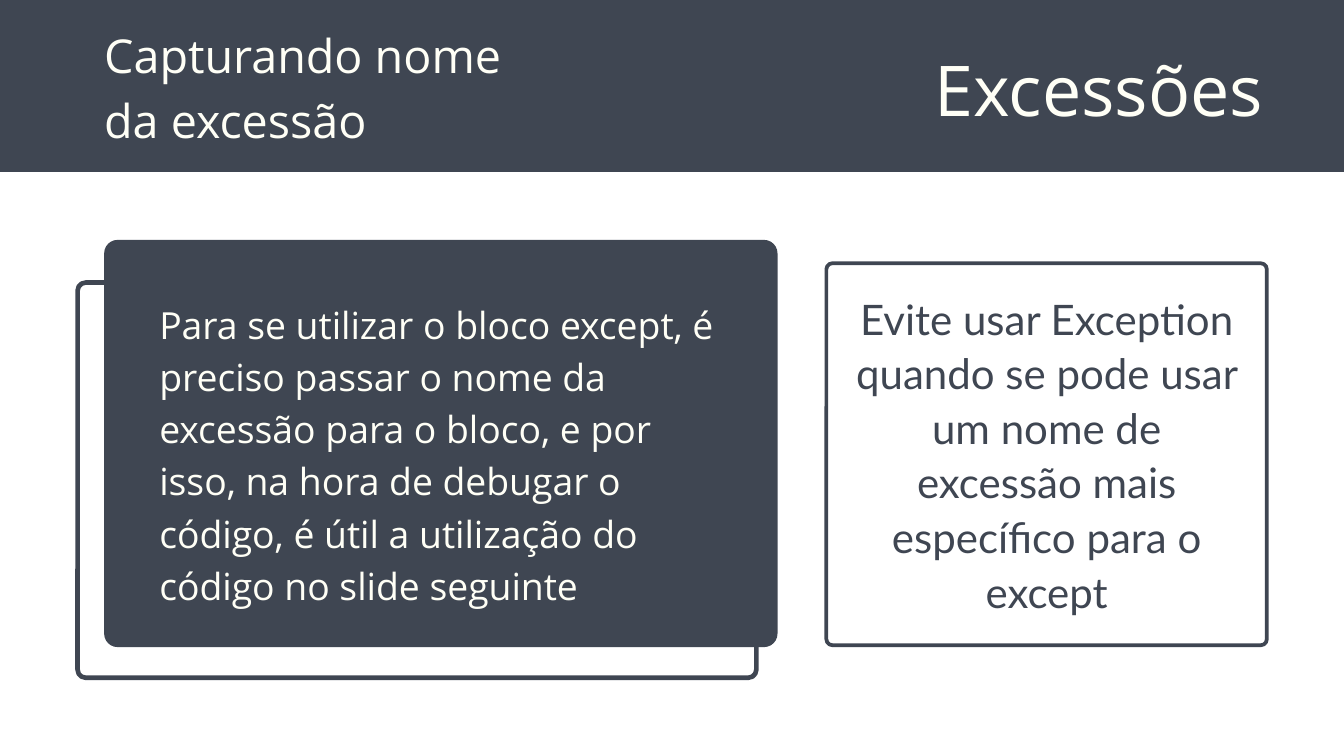
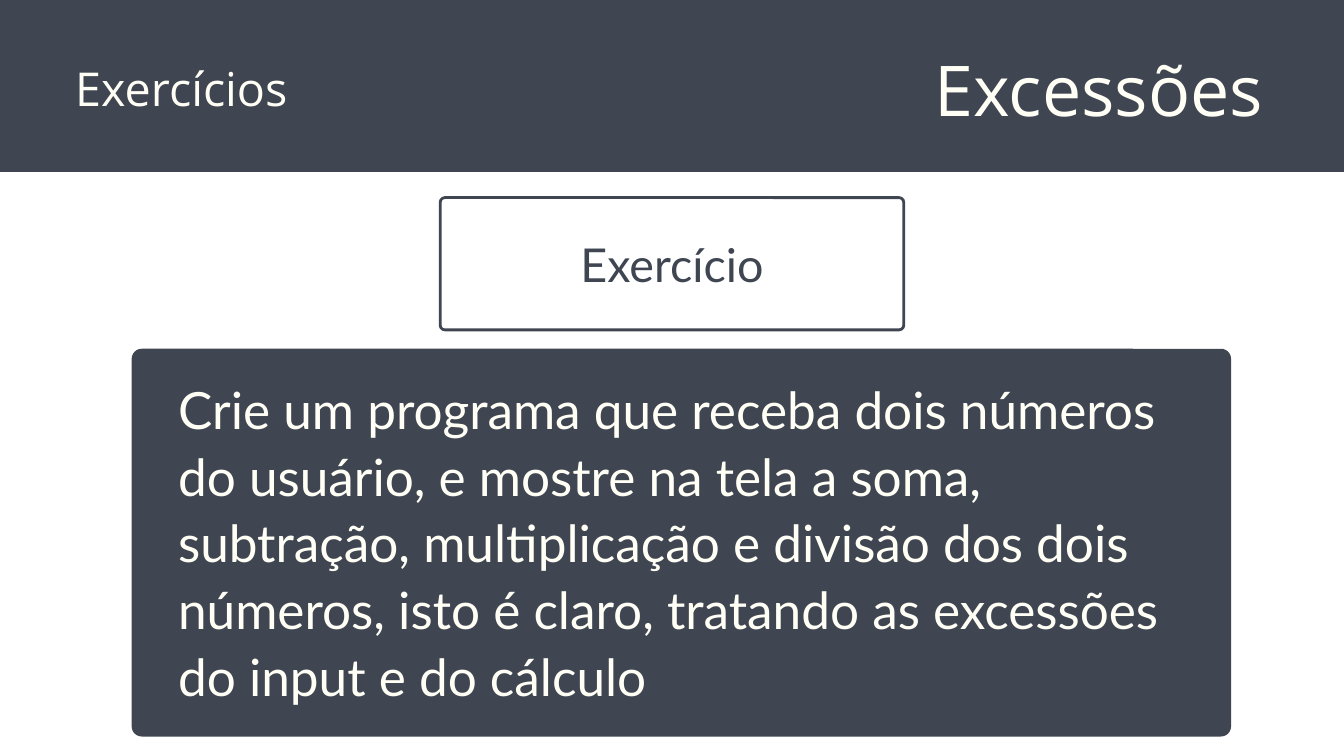
from collections import namedtuple

from pptx import Presentation
from pptx.dml import color
from pptx.enum import shapes, text
from pptx.util import Inches, Pt

SLATE = "3F4652"
IVORY = "FFFFF6"
HEADING_FONT = "Open Sans"
BODY_FONT = "Lato"
SLIDE_WIDTH, SLIDE_HEIGHT = 20, 11.25
BAND_HEIGHT = 2.56

Box = namedtuple("Box", "left top width height")


def rgb(value):
    return color.RGBColor.from_string(value)


def inset(box, dx, dy):
    return Box(box.left + dx, box.top + dy, box.width - 2 * dx, box.height - 2 * dy)


def add_panel(slide, box, radius=0):
    kind = shapes.MSO_SHAPE.ROUNDED_RECTANGLE if radius else shapes.MSO_SHAPE.RECTANGLE
    panel = slide.shapes.add_shape(kind, *map(Inches, box))
    panel.shadow.inherit = False
    if radius:
        panel.adjustments[0] = radius / min(box.width, box.height)
    return panel


def add_card(slide, box, radius=0):
    card = add_panel(slide, box, radius)
    card.fill.solid()
    card.fill.fore_color.rgb = rgb(SLATE)
    card.line.fill.background()


def add_frame(slide, box, radius, weight):
    half = weight / 144
    frame = add_panel(slide, inset(box, half, half), radius)
    frame.fill.background()
    frame.line.color.rgb = rgb(SLATE)
    frame.line.width = Pt(weight)


def add_copy(slide, box, words, size, leading, font, ink, centred=False):
    frame = slide.shapes.add_textbox(*map(Inches, box)).text_frame
    frame.word_wrap = True
    frame.margin_left = frame.margin_right = frame.margin_top = frame.margin_bottom = 0
    paragraph = frame.paragraphs[0]
    paragraph.text = words
    paragraph.alignment = text.PP_ALIGN.CENTER if centred else text.PP_ALIGN.LEFT
    paragraph.line_spacing = Pt(size * leading)
    paragraph.font.size = Pt(size)
    paragraph.font.name = font
    paragraph.font.color.rgb = rgb(ink)


def add_header(slide, box, topic, topic_box):
    add_card(slide, box)
    title_box = Box(box.left + 13.84, box.top + 0.49, 5.03, 1.42)
    add_copy(slide, title_box, "Excessões", 75, 1.4, HEADING_FONT, IVORY, centred=True)
    add_copy(slide, topic_box, topic, 50, 1.4, HEADING_FONT, IVORY)


def add_explanation(slide, box, words):
    add_frame(slide, Box(box.left - 0.43, box.top + 0.6, 10.17, 5.95), 0.12, 5)
    add_card(slide, box, 0.2)
    add_copy(slide, inset(box, 0.82, 0.81), words, 40, 1.4, HEADING_FONT, IVORY)


def add_advice(slide, box, words):
    add_frame(slide, box, 0.09, 4)
    add_copy(slide, inset(box, 0.46, 0.41), words, 45, 1.3, BODY_FONT, SLATE, centred=True)


def add_label(slide, box, words):
    add_frame(slide, box, 0.07, 3)
    add_copy(slide, inset(box, 1.51, 0.52), words, 50, 1.3, BODY_FONT, SLATE, centred=True)


def add_task(slide, box, words):
    add_card(slide, box, 0.15)
    add_copy(slide, inset(box, 0.69, 0.36), words, 55, 1.3, BODY_FONT, IVORY)


def build_capture_slide(slide, page):
    add_header(slide, page._replace(height=BAND_HEIGHT), "Capturando nome da excessão",
               Box(1.55, 0.26, 6.21, 1.92))
    add_explanation(slide, Box(1.55, 3.57, 10.02, 6.06),
                    "Para se utilizar o bloco except, é preciso passar o nome da excessão "
                    "para o bloco, e por isso, na hora de debugar o código, é útil a "
                    "utilização do código no slide seguinte")
    add_advice(slide, Box(12.27, 3.89, 6.61, 5.74),
               "Evite usar Exception quando se pode usar um nome de excessão mais "
               "específico para o except")


def build_exercise_slide(slide, page):
    add_header(slide, page._replace(height=BAND_HEIGHT), "Exercícios",
               Box(1.12, 0.75, 8.86, 0.95))
    label_width = 6.94
    add_label(slide, Box((page.width - label_width) / 2, 2.92, label_width, 2.01), "Exercício")
    add_task(slide, Box(1.96, 5.19, 16.36, 5.77),
             "Crie um programa que receba dois números do usuário, e mostre na tela a "
             "soma, subtração, multiplicação e divisão dos dois números, isto é claro, "
             "tratando as excessões do input e do cálculo")


def main():
    deck = Presentation()
    deck.slide_width = Inches(SLIDE_WIDTH)
    deck.slide_height = Inches(SLIDE_HEIGHT)
    page = Box(0, 0, SLIDE_WIDTH, SLIDE_HEIGHT)
    for build in (build_capture_slide, build_exercise_slide):
        build(deck.slides.add_slide(deck.slide_layouts[6]), page)
    deck.save("out.pptx")


if __name__ == "__main__":
    main()
